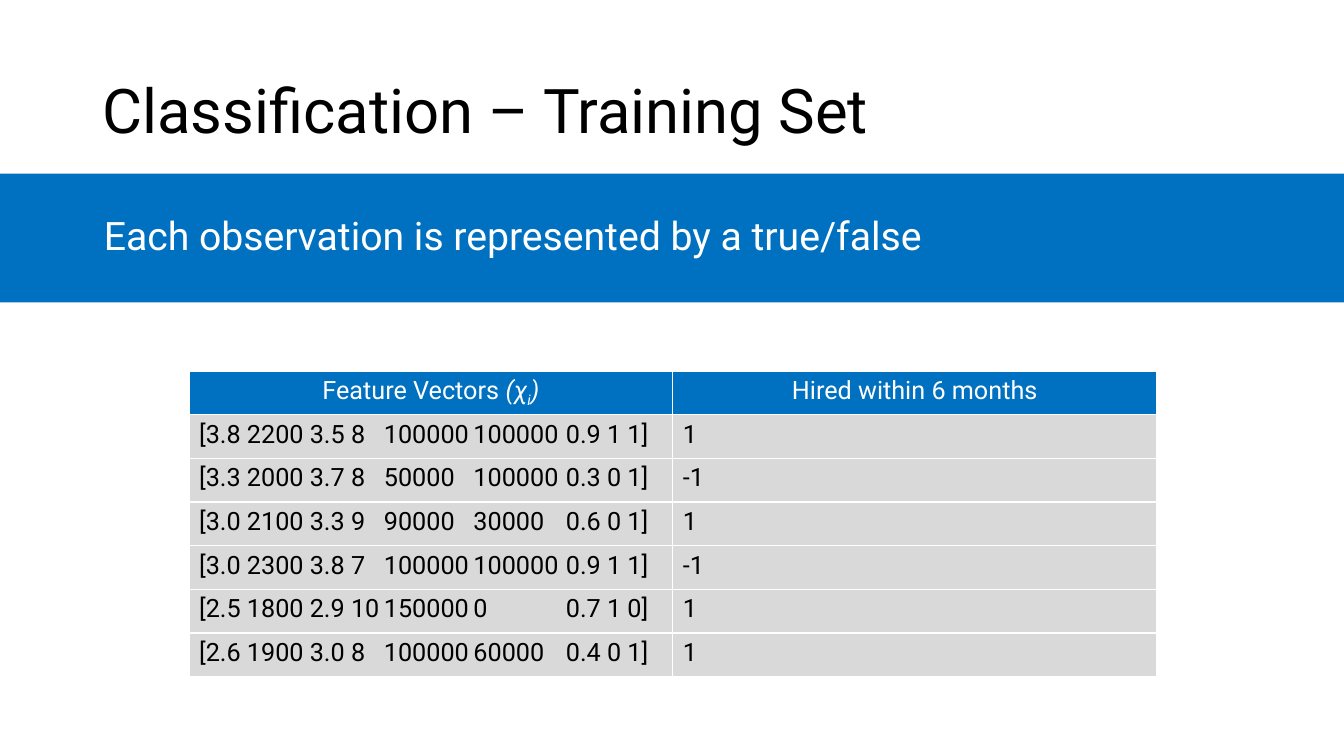
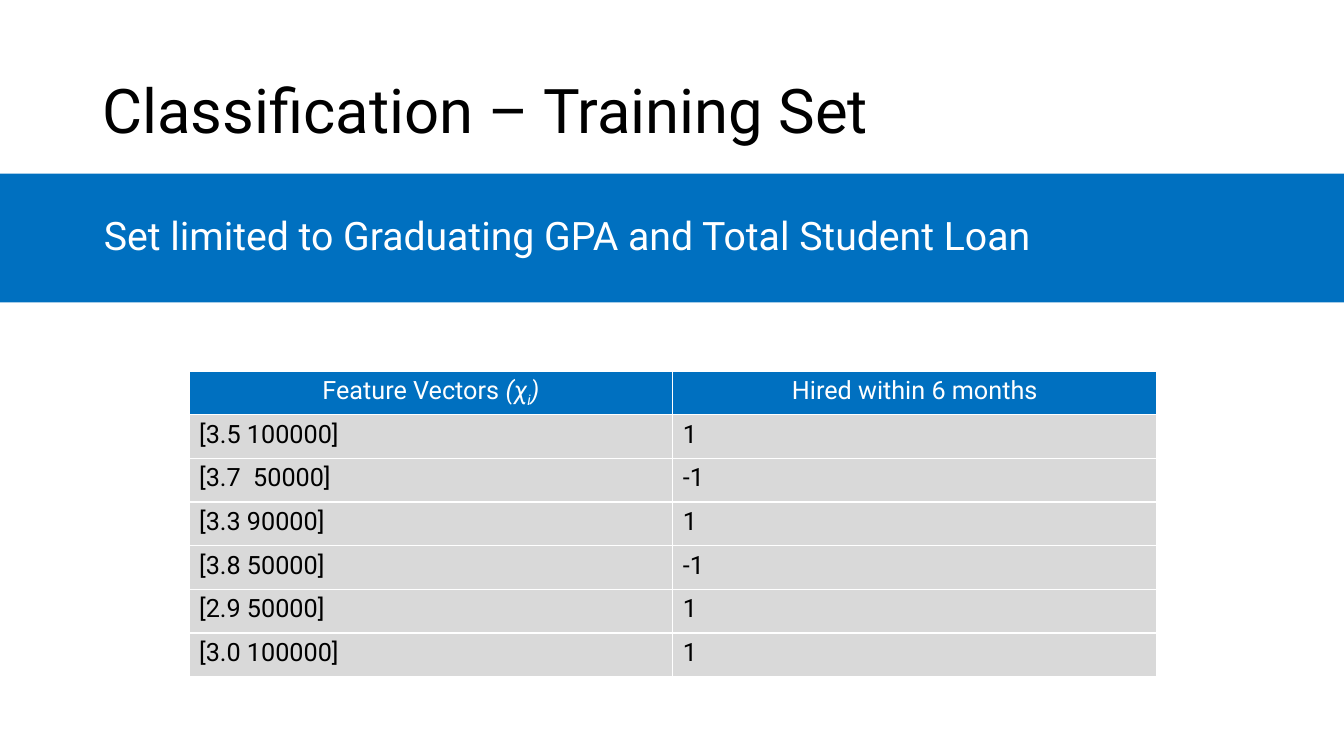
from typing import NamedTuple

from pptx import Presentation
from pptx.dml.color import RGBColor
from pptx.enum.shapes import MSO_SHAPE
from pptx.enum.text import MSO_ANCHOR, MSO_AUTO_SIZE, PP_ALIGN
from pptx.oxml import parse_xml
from pptx.oxml.ns import nsdecls
from pptx.util import Pt

BLUE = RGBColor(0x00, 0x70, 0xC0)
GRAY = RGBColor(0xD9, 0xD9, 0xD9)
WHITE = RGBColor(0xFF, 0xFF, 0xFF)
BLACK = RGBColor(0x00, 0x00, 0x00)

FONT = "Roboto"
SLIDE_WIDTH, SLIDE_HEIGHT = 960, 540
BAND_TOP, BAND_HEIGHT = 124, 92
TABLE_LEFT, TABLE_TOP = 135, 265
COLUMN_WIDTH, ROW_HEIGHT = 345.6, 31.2
FEATURE_TABS = (132, 196, 262)
TITLE = "Classification – Training Set"


class Box(NamedTuple):
    left: float
    top: float
    width: float
    height: float


class HeaderPart(NamedTuple):
    text: str
    italic: bool = False
    baseline: int = 0


class Observation(NamedTuple):
    features: str
    hired: str


class TrainingSet(NamedTuple):
    subtitle: str
    observations: list[Observation]


TITLE_BOX = Box(66, 28.8, 828, 104.4)
SUBTITLE_BOX = Box(67, BAND_TOP, 742, BAND_HEIGHT)
BAND_BOX = Box(0, BAND_TOP, SLIDE_WIDTH, BAND_HEIGHT)

HEADERS = [
    [
        HeaderPart("Feature Vectors "),
        HeaderPart("(χ", italic=True),
        HeaderPart("i", italic=True, baseline=-25000),
        HeaderPart(")", italic=True),
    ],
    [HeaderPart("Hired within 6 months")],
]

TRAINING_SETS = [
    TrainingSet("Each observation is represented by a true/false", [
        Observation("[3.8 2200 3.5 8\t100000\t100000\t0.9 1 1]", "1"),
        Observation("[3.3 2000 3.7 8\t50000\t100000\t0.3 0 1]", "-1"),
        Observation("[3.0 2100 3.3 9\t90000\t30000\t0.6 0 1]", "1"),
        Observation("[3.0 2300 3.8 7\t100000\t100000\t0.9 1 1]", "-1"),
        Observation("[2.5 1800 2.9 10\t150000\t0\t0.7 1 0]", "1"),
        Observation("[2.6 1900 3.0 8\t100000\t60000\t0.4 0 1]", "1"),
    ]),
    TrainingSet("Set limited to Graduating GPA and Total Student Loan", [
        Observation("[3.5 100000]", "1"),
        Observation("[3.7  50000]", "-1"),
        Observation("[3.3 90000]", "1"),
        Observation("[3.8 50000]", "-1"),
        Observation("[2.9 50000]", "1"),
        Observation("[3.0 100000]", "1"),
    ]),
]


def format_runs(paragraph, size: float, color: RGBColor) -> None:
    for run in paragraph.runs:
        run.font.name = FONT
        run.font.size = Pt(size)
        run.font.bold = False
        run.font.color.rgb = color


def fill_placeholder(placeholder, box: Box, text: str, size: float, color: RGBColor) -> None:
    placeholder.left, placeholder.top, placeholder.width, placeholder.height = map(Pt, box)
    text_frame = placeholder.text_frame
    text_frame.text = text
    text_frame.auto_size = MSO_AUTO_SIZE.NONE
    text_frame.vertical_anchor = MSO_ANCHOR.MIDDLE
    paragraph = text_frame.paragraphs[0]
    paragraph.alignment = PP_ALIGN.LEFT
    paragraph.line_spacing = 0.9
    paragraph.space_before = Pt(0)
    properties = paragraph._p.get_or_add_pPr()
    properties.set("marL", "0")
    properties.set("indent", "0")
    properties.append(parse_xml(f"<a:buNone {nsdecls('a')}/>"))
    format_runs(paragraph, size, color)


def add_band(slide, subtitle) -> None:
    band = slide.shapes.add_shape(MSO_SHAPE.RECTANGLE, *map(Pt, BAND_BOX))
    band.shadow.inherit = False
    band.fill.solid()
    band.fill.fore_color.rgb = BLUE
    band.line.fill.background()
    subtitle.element.addprevious(band.element)


def style_cell(cell, fill: RGBColor) -> None:
    properties = cell._tc.get_or_add_tcPr()
    for side in ("lnL", "lnR", "lnT", "lnB"):
        properties.append(parse_xml(
            f'<a:{side} {nsdecls("a")} w="{Pt(1)}"><a:solidFill>'
            f'<a:srgbClr val="{WHITE}"/></a:solidFill></a:{side}>'
        ))
    cell.fill.solid()
    cell.fill.fore_color.rgb = fill


def fill_header(cell, parts: list[HeaderPart]) -> None:
    style_cell(cell, BLUE)
    paragraph = cell.text_frame.paragraphs[0]
    paragraph.alignment = PP_ALIGN.CENTER
    for part in parts:
        run = paragraph.add_run()
        run.text = part.text
        run.font.italic = part.italic
        if part.baseline:
            run._r.get_or_add_rPr().set("baseline", str(part.baseline))
    format_runs(paragraph, 18, WHITE)


def fill_value(cell, text: str) -> None:
    style_cell(cell, GRAY)
    paragraph = cell.text_frame.paragraphs[0]
    paragraph.text = text
    if "\t" in text:
        stops = "".join(f'<a:tab pos="{Pt(stop)}" algn="l"/>' for stop in FEATURE_TABS)
        paragraph._p.get_or_add_pPr().append(
            parse_xml(f"<a:tabLst {nsdecls('a')}>{stops}</a:tabLst>")
        )
    format_runs(paragraph, 18, BLACK)


def add_observation_table(slide, observations: list[Observation]) -> None:
    row_count, column_count = len(observations) + 1, len(HEADERS)
    table = slide.shapes.add_table(
        row_count, column_count, Pt(TABLE_LEFT), Pt(TABLE_TOP),
        Pt(COLUMN_WIDTH * column_count), Pt(ROW_HEIGHT * row_count),
    ).table
    table.horz_banding = False
    for column in table.columns:
        column.width = Pt(COLUMN_WIDTH)
    for row in table.rows:
        row.height = Pt(ROW_HEIGHT)
    for column_index, parts in enumerate(HEADERS):
        fill_header(table.cell(0, column_index), parts)
    for row_index, observation in enumerate(observations, start=1):
        for column_index, value in enumerate(observation):
            fill_value(table.cell(row_index, column_index), value)


def add_training_slide(presentation, training_set: TrainingSet) -> None:
    slide = presentation.slides.add_slide(presentation.slide_layouts[1])
    subtitle = slide.placeholders[1]
    fill_placeholder(slide.shapes.title, TITLE_BOX, TITLE, 44, BLACK)
    fill_placeholder(subtitle, SUBTITLE_BOX, training_set.subtitle, 28, WHITE)
    add_band(slide, subtitle)
    add_observation_table(slide, training_set.observations)


def main() -> None:
    presentation = Presentation()
    presentation.slide_width = Pt(SLIDE_WIDTH)
    presentation.slide_height = Pt(SLIDE_HEIGHT)
    for training_set in TRAINING_SETS:
        add_training_slide(presentation, training_set)
    presentation.save("out.pptx")


if __name__ == "__main__":
    main()
